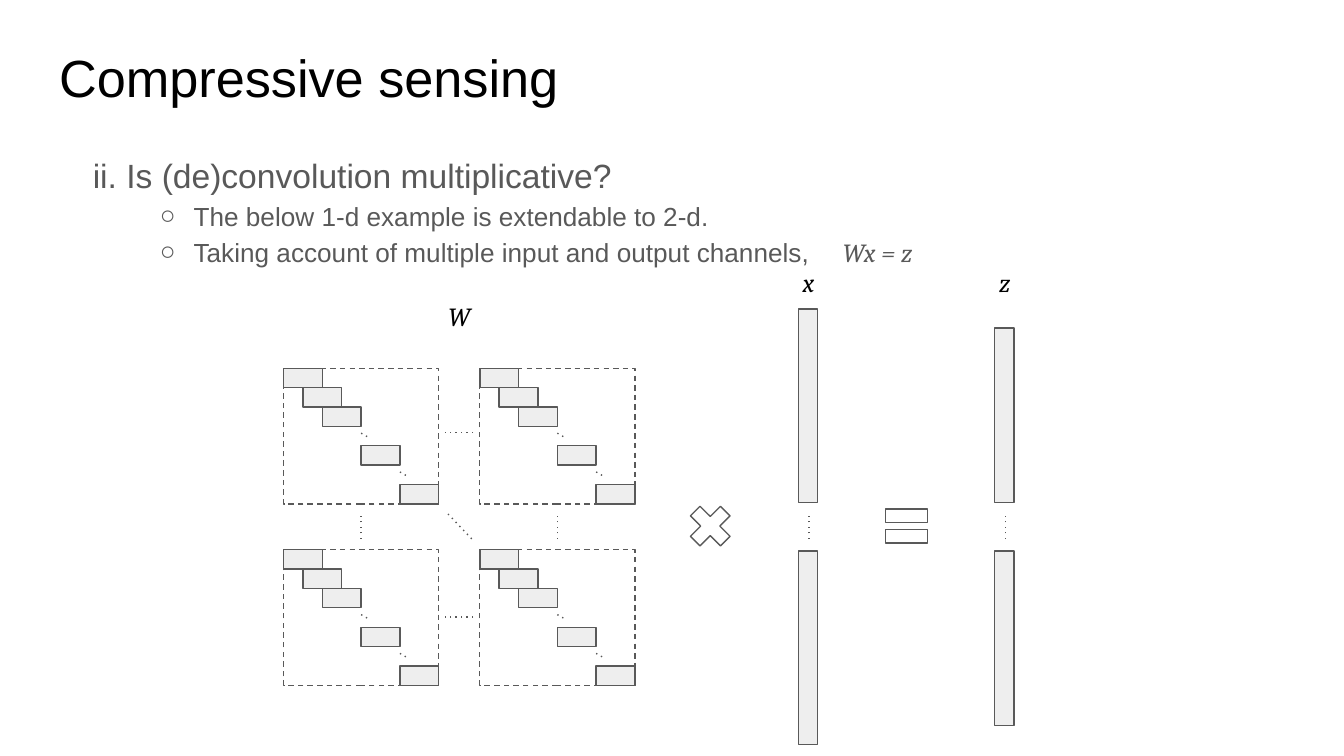
from lxml import etree
from pptx import Presentation
from pptx.dml.color import RGBColor
from pptx.enum.dml import MSO_LINE
from pptx.enum.shapes import MSO_CONNECTOR, MSO_SHAPE
from pptx.enum.text import MSO_ANCHOR, MSO_AUTO_SIZE, PP_ALIGN
from pptx.oxml.ns import qn
from pptx.util import Inches, Pt

COLORS = {"title": "000000", "body": "595959", "line": "595959", "band": "EEEEEE"}
STEP = 1.01 / 7  # one row of a convolution matrix


def rgb(name):
    return RGBColor.from_string(COLORS[name])


def place(shape, left, top, width, height):
    shape.left, shape.top = Inches(left), Inches(top)
    shape.width, shape.height = Inches(width), Inches(height)


def setup_frame(frame, anchor):
    frame.word_wrap = True
    frame.auto_size = MSO_AUTO_SIZE.NONE
    frame.vertical_anchor = anchor
    frame.margin_left = frame.margin_right = Inches(0.1)
    frame.margin_top = frame.margin_bottom = Inches(0.1)


def write(paragraph, text, size=14, font="Arial", color="body", italic=False,
          align=PP_ALIGN.LEFT, spacing=1.0):
    paragraph.alignment = align
    paragraph.line_spacing = spacing
    paragraph.space_before = paragraph.space_after = Pt(0)
    run = paragraph.add_run()
    run.text = text
    run.font.size, run.font.name, run.font.italic = Pt(size), font, italic
    run.font.color.rgb = rgb(color)


def set_bullet(paragraph, indent, tag, **attributes):
    properties = paragraph._p.get_or_add_pPr()
    properties.set("marL", str(Inches(indent)))
    properties.set("indent", str(Inches(-0.25)))
    bullet_color = etree.SubElement(properties, qn("a:buClr"))
    etree.SubElement(bullet_color, qn("a:srgbClr"), val=COLORS["body"])
    etree.SubElement(properties, qn("a:buFont"), typeface="Arial")
    etree.SubElement(properties, qn(tag), **attributes)


def add_symbol(slide, text, left, top, width, height, **style):
    label = slide.shapes.add_textbox(0, 0, 0, 0)
    place(label, left, top, width, height)
    setup_frame(label.text_frame, MSO_ANCHOR.MIDDLE)
    write(label.text_frame.paragraphs[0], text, font="Cambria", italic=True,
          align=PP_ALIGN.CENTER, **style)


def add_outline(slide, left, top, width, height, kind=MSO_SHAPE.RECTANGLE,
                fill=None, dash=None, adjustments=()):
    shape = slide.shapes.add_shape(kind, 0, 0, 0, 0)
    place(shape, left, top, width, height)
    shape.shadow.inherit = False
    if fill:
        shape.fill.solid()
        shape.fill.fore_color.rgb = rgb(fill)
    else:
        shape.fill.background()
    shape.line.color.rgb = rgb("line")
    shape.line.width = Pt(0.75)
    if dash:
        shape.line.dash_style = dash
    for index, value in enumerate(adjustments):
        shape.adjustments[index] = value


def add_dots(slide, x1, y1, x2, y2):
    dots = slide.shapes.add_connector(
        MSO_CONNECTOR.STRAIGHT, Inches(x1), Inches(y1), Inches(x2), Inches(y2))
    dots.line.color.rgb = rgb("line")
    dots.line.width = Pt(0.75)
    properties = dots._element.spPr
    etree.SubElement(properties.find(qn("a:ln")), qn("a:prstDash"), val="dot")
    etree.SubElement(properties, qn("a:effectLst"))


def add_heading(slide, left, top, width, height):
    title = slide.shapes.title
    place(title, left, top, width, height)
    setup_frame(title.text_frame, MSO_ANCHOR.TOP)
    write(title.text_frame.paragraphs[0], "Compressive sensing", size=28, color="title")


def add_question(slide, left, top, width, height):
    body = slide.placeholders[1]
    place(body, left, top, width, height)
    frame = body.text_frame
    setup_frame(frame, MSO_ANCHOR.TOP)
    question = frame.paragraphs[0]
    write(question, "Is (de)convolution multiplicative?", size=18, spacing=1.15)
    set_bullet(question, 0.5, "a:buAutoNum", type="romanLcPeriod", startAt="2")
    for text in ("The below 1-d example is extendable to 2-d.",
                 "Taking account of multiple input and output channels,"):
        point = frame.add_paragraph()
        point.level = 1
        write(point, text, spacing=1.15)
        set_bullet(point, 1, "a:buChar", char="○")


def add_convolution(slide, left, top):
    """One banded matrix: kernels shifted along the diagonal."""
    add_outline(slide, left, top, 8 * STEP, 7 * STEP, dash=MSO_LINE.DASH)
    for row in (0, 1, 2, 4, 6):
        add_outline(slide, left + row * STEP, top + row * STEP, 2 * STEP, STEP, fill="band")
    for row in (4, 6):
        x, y = left + row * STEP, top + (row - 0.65) * STEP
        add_dots(slide, x, y, x + 0.07, y + 0.04)


def add_weights(slide, left, top, column_gap=1.46, row_gap=1.35):
    add_symbol(slide, "W", left + 0.94, top - 0.61, 0.74, 0.44, color="title")
    for row in range(2):
        for column in range(2):
            add_convolution(slide, left + column * column_gap, top + row * row_gap)
    # Dots between the matrices
    for row in range(2):
        y = top + 0.48 + row * 1.37
        add_dots(slide, left + 1.41, y, left + 1.2, y)
    for column in range(2):
        x = left + 4 * STEP + column * column_gap
        add_dots(slide, x, top + 1.27, x, top + 1.08)
    add_dots(slide, left + 1.4, top + 1.27, left + 1.21, top + 1.07)


def add_vector(slide, name, left, length, label_left, label_width):
    """Two bars around a dotted gap, with the name above."""
    add_symbol(slide, name, label_left, 1.88, label_width, 0.44, color="title")
    for top in (3.74 - length, 4.1):
        add_outline(slide, left, top, STEP, length, fill="band")
    add_dots(slide, left + 0.08, 4.01, left + 0.08, 3.82)


def main():
    deck = Presentation()
    deck.slide_width, deck.slide_height = Inches(10), Inches(10 * 9 / 16)
    slide = deck.slides.add_slide(deck.slide_layouts[1])

    # Title and list
    add_heading(slide, 0.34, 0.24, 9.32, 0.63)
    add_question(slide, 0.34, 1.01, 9.32, 4.35)
    add_symbol(slide, "Wx = z", 6.08, 1.63, 0.9, 0.45, spacing=1.15)

    # Matrix equation
    add_weights(slide, 2.11, 2.74)
    add_outline(slide, 5.07, 3.7, 0.43, 0.43, MSO_SHAPE.MATH_MULTIPLY, adjustments=[0.235])
    add_vector(slide, "x", 5.94, 1.44, 5.69, 0.65)
    add_outline(slide, 6.53, 3.7, 0.43, 0.43, MSO_SHAPE.MATH_EQUAL,
                adjustments=[0.235, 0.118])
    add_vector(slide, "z", 7.4, 1.3, 7.07, 0.81)

    deck.save("out.pptx")


if __name__ == "__main__":
    main()
